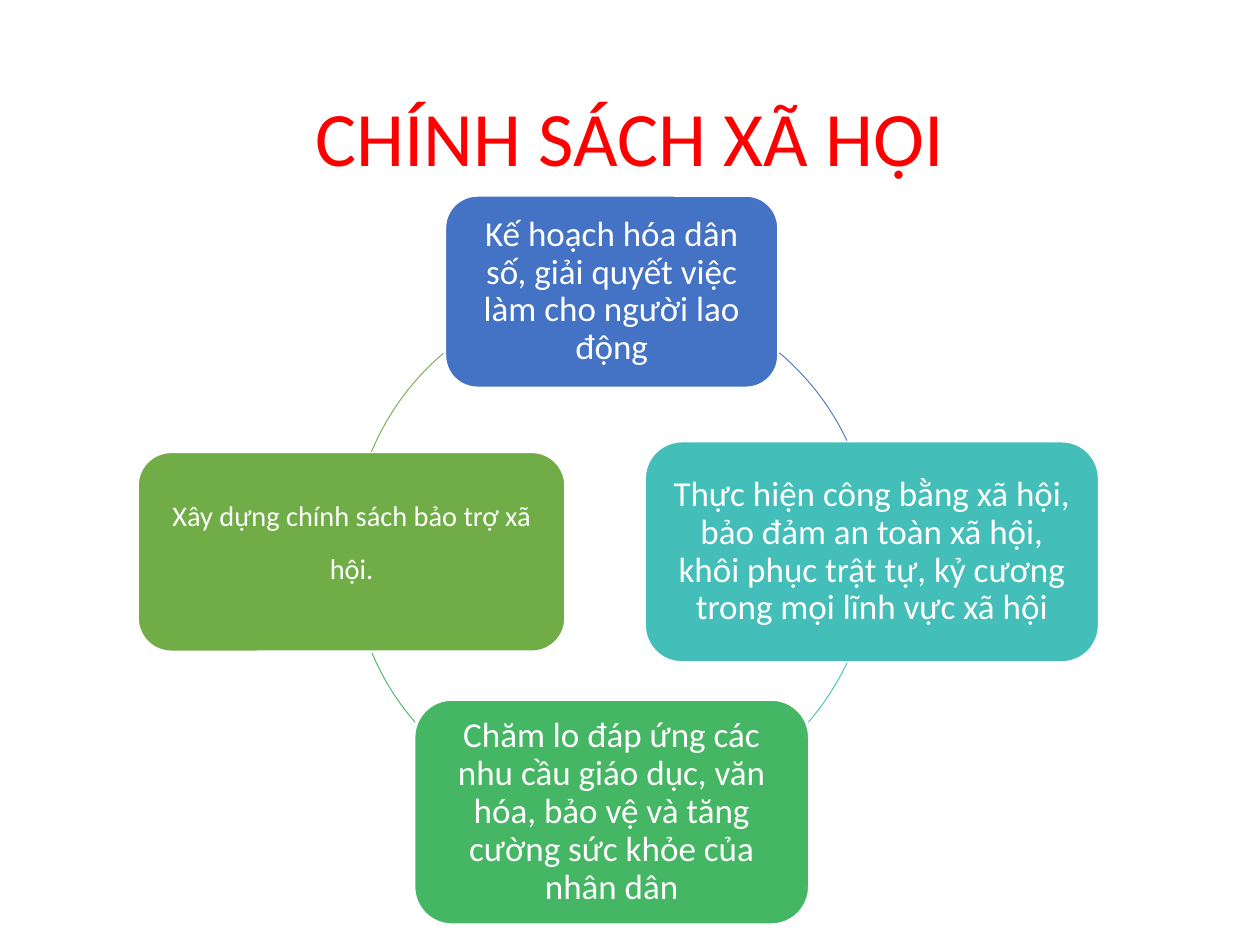
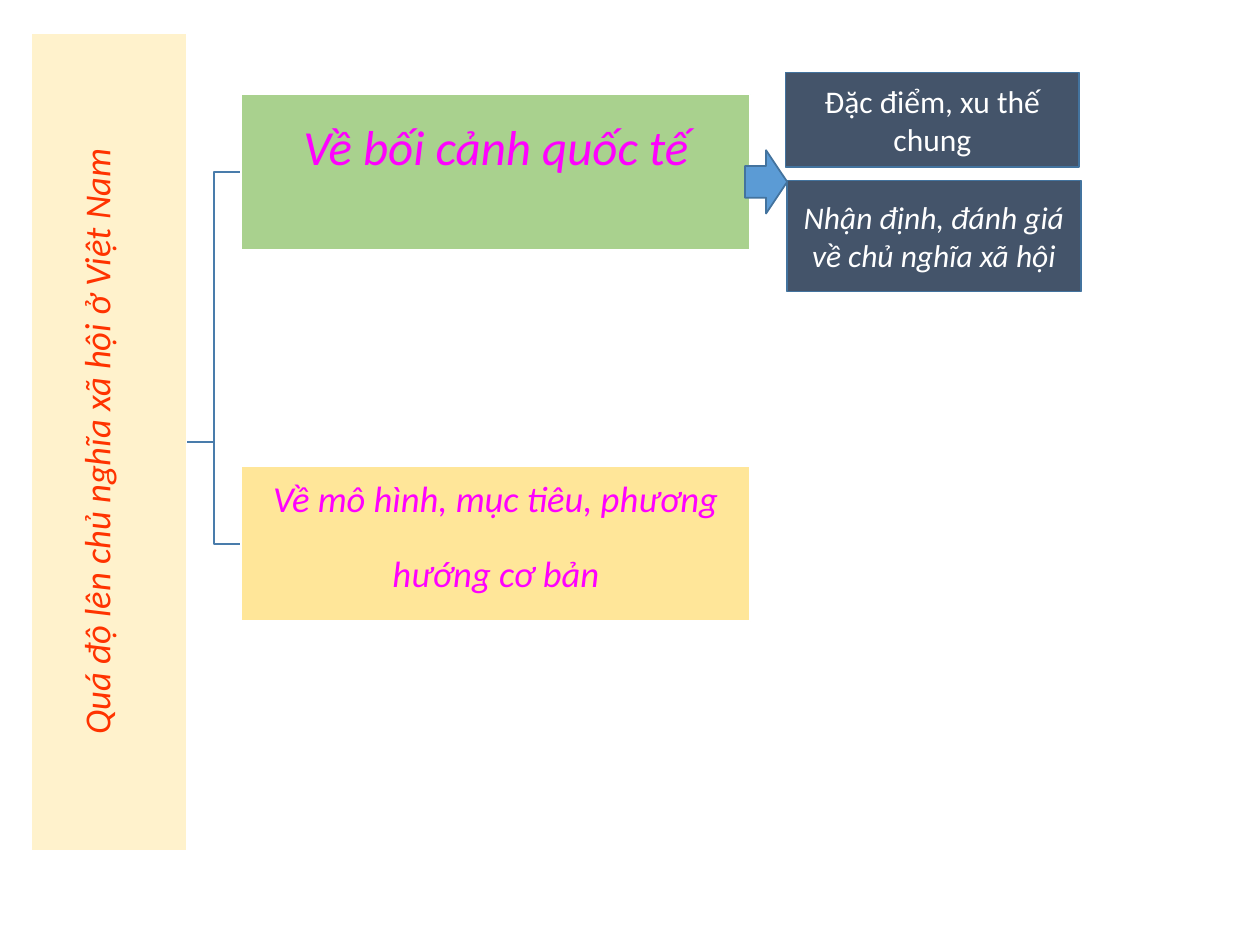
from dataclasses import dataclass
from math import cos, radians, sin

from lxml import etree
from pptx import Presentation
from pptx.dml.color import RGBColor
from pptx.enum.shapes import MSO_CONNECTOR, MSO_SHAPE
from pptx.enum.text import MSO_ANCHOR, PP_ALIGN
from pptx.oxml.ns import qn
from pptx.util import Inches, Pt

RECTANGLE = MSO_SHAPE.RECTANGLE
ROUNDED = MSO_SHAPE.ROUNDED_RECTANGLE
RIGHT_ARROW = MSO_SHAPE.RIGHT_ARROW
ARC = MSO_SHAPE.ARC
ELBOW = MSO_CONNECTOR.ELBOW
MIDDLE = MSO_ANCHOR.MIDDLE
CENTER = PP_ALIGN.CENTER

SLIDE_WIDTH, SLIDE_HEIGHT = Inches(10), Inches(7.5)
FONT = "Calibri"
WHITE, RED, ORANGE, MAGENTA = "FFFFFF", "FF0000", "FF3300", "FF00FF"
CREAM, LEAF, SAND = "FFF2CC", "A9D18E", "FFE699"
SLATE, SKY, STEEL, BRACKET_BLUE = "44546A", "5B9BD5", "43739E", "497CAB"

# Shares of the slide's width and height, in percent
CYCLE_X, CYCLE_Y, CYCLE_RADIUS = 48.55, 58.4, 20.65
BRANCH_X, BRANCH_WIDTH, BRANCH_HEIGHT = 39.35, 40.4, 16.4
ROOT_X, ROOT_Y = 8.65, 46.75
BRACKET_LEFT = 14.85
# An arc's adjustment counts 60000ths of a degree, scaled down by 100000
ARC_UNITS_PER_DEGREE = 0.6


@dataclass(frozen=True)
class TextStyle:
    size: float
    color: str = WHITE
    italic: bool = False
    raised: bool = False
    line_spacing: float = 1.0


@dataclass(frozen=True)
class Box:
    """A filled shape placed by its centre, in shares of the slide."""
    center_x: float
    center_y: float
    width: float
    height: float
    fill: str
    text: str = ""
    style: TextStyle = TextStyle(18)
    kind: int = RECTANGLE
    line: str = WHITE
    margins: tuple = (0.1, 0.05, 0.1, 0.05)
    rotation: float = 0


@dataclass(frozen=True)
class CycleStep:
    """A box at a compass angle of the cycle and the arc that follows it."""
    angle: float
    width: float
    height: float
    color: str
    text: str
    arc_start: float
    arc_end: float
    style: TextStyle = TextStyle(20, line_spacing=0.9)
    margin: float = 0.1


CYCLE_STEPS = [
    CycleStep(270, 26.4, 20.27, "4472C4",
              "Kế hoạch hóa dân số, giải quyết việc làm cho người lao động",
              310.1, 334.9),
    CycleStep(0, 36, 23.33, "43BEB9",
              "Thực hiện công bằng xã hội, bảo đảm an toàn xã hội, khôi phục "
              "trật tự, kỷ cương trong mọi lĩnh vực xã hội",
              25.3, 40.9),
    CycleStep(90, 31.3, 23.73, "45B664",
              "Chăm lo đáp ứng các nhu cầu giáo dục, văn hóa, bảo vệ và tăng "
              "cường sức khỏe của nhân dân",
              139.1, 157.1),
    CycleStep(180, 33.9, 21.07, "70AD47",
              "Xây dựng chính sách bảo trợ xã hội.",
              202.6, 229.7, TextStyle(28, raised=True, line_spacing=0.9), 0.12),
]

ROOT = Box(ROOT_X, ROOT_Y, 64.9, BRANCH_HEIGHT, CREAM,
           "Quá độ lên chủ nghĩa xã hội ở Việt Nam",
           TextStyle(36, ORANGE, italic=True, raised=True, line_spacing=0.9),
           margins=(0.03,) * 4, rotation=270)
BRANCHES = [
    Box(BRANCH_X, 18.2, BRANCH_WIDTH, BRANCH_HEIGHT, LEAF,
        "Về bối cảnh quốc tế", TextStyle(28, MAGENTA, italic=True),
        margins=(0.02, 0.02, 0.02, 0.44)),
    Box(BRANCH_X, 57.53, BRANCH_WIDTH, BRANCH_HEIGHT, SAND,
        "Về mô hình, mục tiêu, phương hướng cơ bản",
        TextStyle(36, MAGENTA, italic=True, raised=True), margins=(0.03,) * 4),
]
DETAILS = [
    Box(74, 12.67, 23.3, 10, SLATE, "Đặc điểm, xu thế chung", line=STEEL),
    Box(74.13, 24.97, 23.3, 11.73, SLATE,
        "Nhận định, đánh giá về chủ nghĩa xã hội",
        TextStyle(18, italic=True), line=STEEL),
    Box(60.8, 19.25, 3.35, 6.7, SKY, kind=RIGHT_ARROW, line=STEEL),
]


def across(share: float) -> int:
    return round(SLIDE_WIDTH * share / 100)


def down(share: float) -> int:
    return round(SLIDE_HEIGHT * share / 100)


def rgb(value: str) -> RGBColor:
    return RGBColor.from_string(value)


def set_line(shape, color: str, width: float) -> None:
    shape.line.color.rgb = rgb(color)
    shape.line.width = Pt(width)


def write_text(shape, text: str, style: TextStyle, margins: tuple) -> None:
    frame = shape.text_frame
    frame.word_wrap = True
    frame.vertical_anchor = MIDDLE
    (frame.margin_left, frame.margin_top,
     frame.margin_right, frame.margin_bottom) = map(Inches, margins)
    paragraph = frame.paragraphs[0]
    paragraph.alignment = CENTER
    paragraph.line_spacing = style.line_spacing
    run = paragraph.add_run()
    run.text = text
    run.font.name = FONT
    run.font.size = Pt(style.size)
    run.font.italic = style.italic
    run.font.color.rgb = rgb(style.color)
    if style.raised:
        run._r.get_or_add_rPr().set("baseline", "30000")


def draw_box(slide, box: Box) -> None:
    shape = slide.shapes.add_shape(
        box.kind, across(box.center_x - box.width / 2),
        down(box.center_y - box.height / 2), across(box.width), down(box.height))
    shape.shadow.inherit = False
    shape.rotation = box.rotation
    shape.fill.solid()
    shape.fill.fore_color.rgb = rgb(box.fill)
    set_line(shape, box.line, 1)
    if box.text:
        write_text(shape, box.text, box.style, box.margins)


def draw_arc(slide, step: CycleStep) -> None:
    radius = across(CYCLE_RADIUS)
    arc = slide.shapes.add_shape(ARC, across(CYCLE_X) - radius, down(CYCLE_Y) - radius,
                                 2 * radius, 2 * radius)
    arc.shadow.inherit = False
    arc.fill.background()
    set_line(arc, step.color, 0.5)
    for index, angle in enumerate((step.arc_start, step.arc_end)):
        arc.adjustments[index] = angle * ARC_UNITS_PER_DEGREE


def draw_cycle_step(slide, step: CycleStep) -> None:
    turn = radians(step.angle)
    center_x = CYCLE_X + CYCLE_RADIUS * cos(turn)
    center_y = CYCLE_Y + CYCLE_RADIUS * SLIDE_WIDTH / SLIDE_HEIGHT * sin(turn)
    draw_box(slide, Box(center_x, center_y, step.width, step.height, step.color,
                        step.text, step.style, kind=ROUNDED,
                        margins=(step.margin,) * 4))
    draw_arc(slide, step)


def draw_bracket_arm(slide, branch: Box) -> None:
    arm = slide.shapes.add_connector(
        ELBOW, across(BRACKET_LEFT), down(ROOT_Y),
        across(branch.center_x - branch.width / 2), down(branch.center_y))
    set_line(arm, BRACKET_BLUE, 1)
    etree.SubElement(arm._element.spPr, qn("a:effectLst"))


def build_social_policy(slide) -> None:
    title = slide.shapes.add_textbox(across(6.9), down(5.33), across(86.2), down(19.33))
    write_text(title, "CHÍNH SÁCH XÃ HỘI", TextStyle(44, RED, line_spacing=0.9),
               (0.1, 0.05, 0.1, 0.05))
    for step in CYCLE_STEPS:
        draw_cycle_step(slide, step)


def build_transition_tree(slide) -> None:
    for branch in BRANCHES:
        draw_bracket_arm(slide, branch)
    for box in [ROOT, *BRANCHES, *DETAILS]:
        draw_box(slide, box)


def main() -> None:
    presentation = Presentation()
    presentation.slide_width, presentation.slide_height = SLIDE_WIDTH, SLIDE_HEIGHT
    blank = presentation.slide_layouts[6]
    for build in (build_social_policy, build_transition_tree):
        build(presentation.slides.add_slide(blank))
    presentation.save("out.pptx")


if __name__ == "__main__":
    main()
